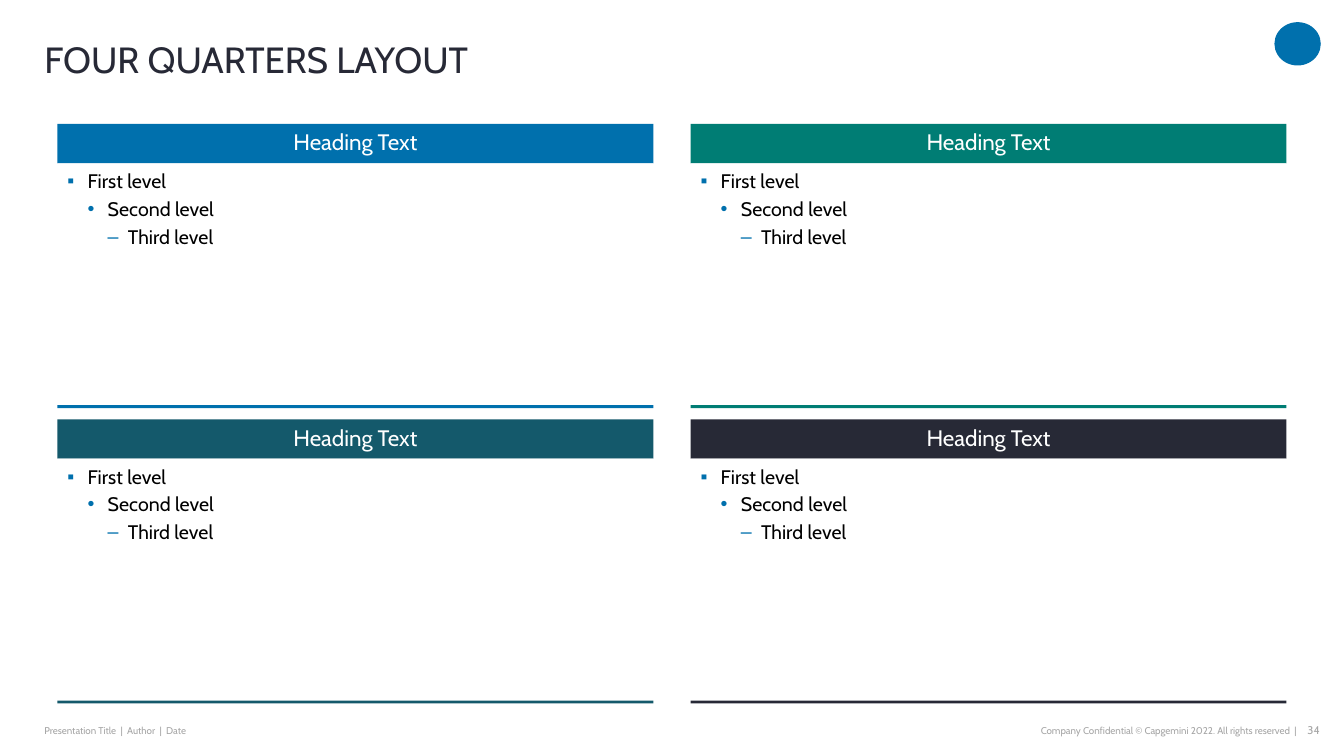
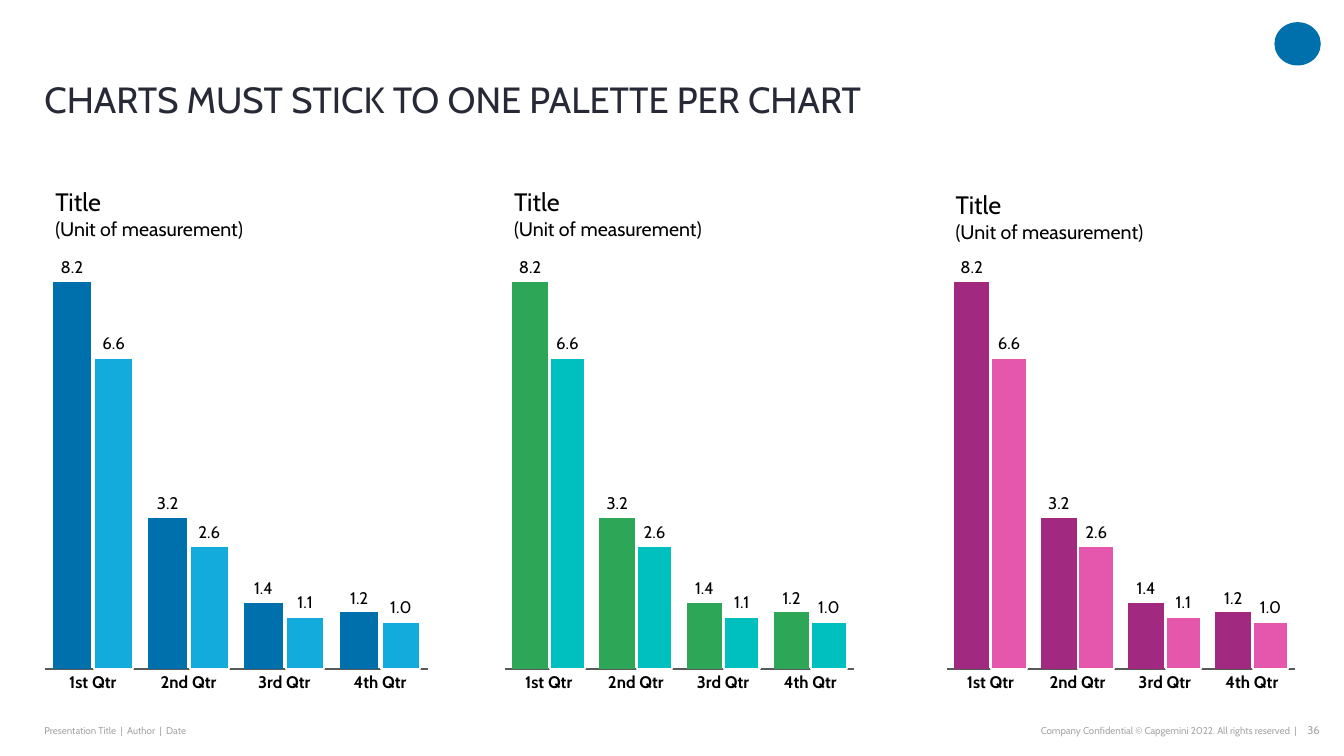
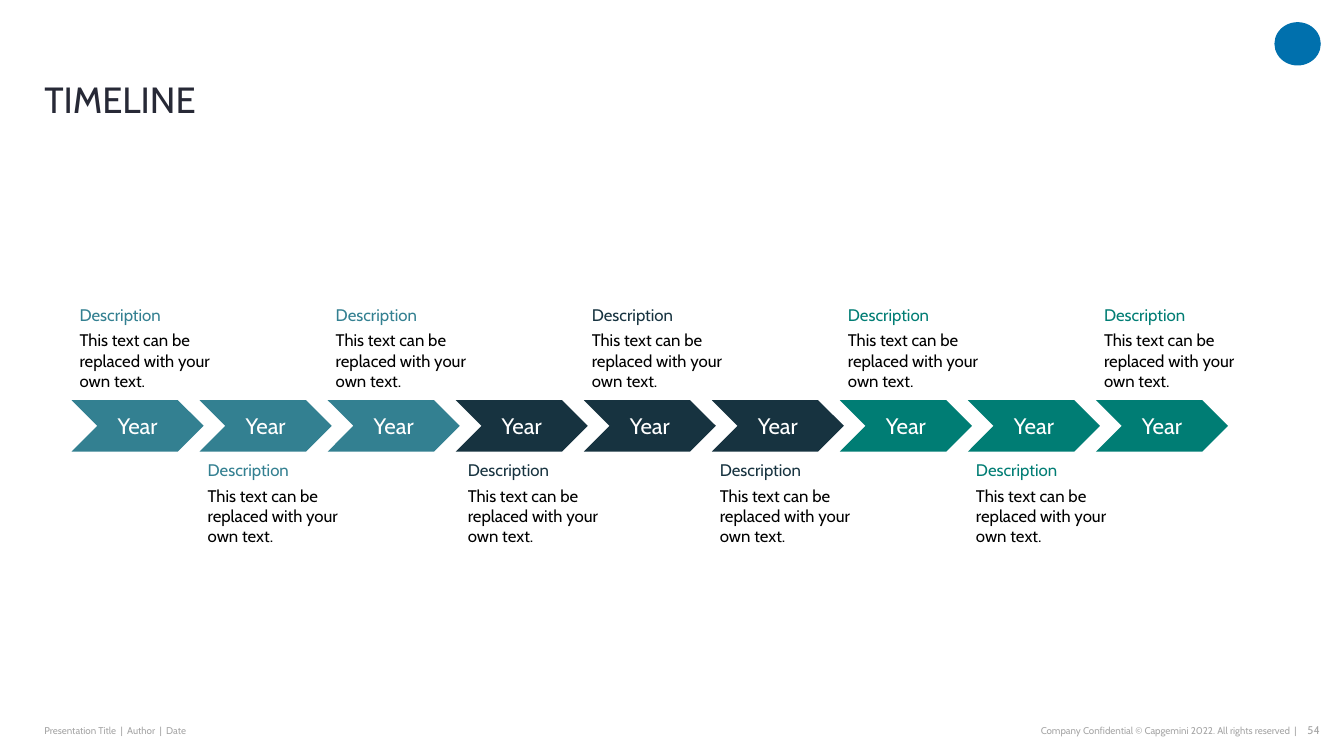
"""Build three sample slides: four quarters, palette charts and a timeline."""
import pptx
import pptx.chart.data
import pptx.dml.color
import pptx.enum.chart
import pptx.enum.shapes
import pptx.enum.text
import pptx.oxml
import pptx.oxml.ns
import pptx.util

Inches = pptx.util.Inches
Pt = pptx.util.Pt
RGBColor = pptx.dml.color.RGBColor
Shape = pptx.enum.shapes.MSO_SHAPE
Align = pptx.enum.text.PP_ALIGN
Anchor = pptx.enum.text.MSO_ANCHOR
Chart = pptx.enum.chart

BLUE = RGBColor(0x00, 0x70, 0xAD)
SKY = RGBColor(0x12, 0xAB, 0xDB)
GREEN = RGBColor(0x2E, 0xA6, 0x57)
AQUA = RGBColor(0x00, 0xBF, 0xBF)
PLUM = RGBColor(0xA1, 0x29, 0x80)
PINK = RGBColor(0xE5, 0x57, 0xAD)
TEAL = RGBColor(0x00, 0x7D, 0x74)
PETROL = RGBColor(0x14, 0x59, 0x6B)
STEEL = RGBColor(0x33, 0x80, 0x91)
NAVY = RGBColor(0x17, 0x33, 0x40)
INK = RGBColor(0x27, 0x29, 0x36)
GREY = RGBColor(0xA6, 0xA6, 0xA6)
SLATE = RGBColor(0x59, 0x59, 0x59)
BLACK = RGBColor(0x00, 0x00, 0x00)
WHITE = RGBColor(0xFF, 0xFF, 0xFF)
FONT = "Cabin"


class Deck:
    def __init__(self):
        self.show = pptx.Presentation()
        self.show.slide_width = Inches(13.33)
        self.show.slide_height = Inches(7.5)
        self.slide = None

    def page(self, title, number, anchor=Anchor.BOTTOM):
        self.slide = self.show.slides.add_slide(self.show.slide_layouts[6])
        self.shape(Shape.OVAL, 12.64, 0.22, 0.46, 0.43, BLUE)
        self.text(0.44, 7.13, 3.73, 0.24, [("Presentation Title  |  Author  |  Date", 7, GREY)],
                  anchor=Anchor.MIDDLE, inset=(0, 0))
        self.text(7.9, 7.13, 4.96, 0.24,
                  [("Company Confidential © Capgemini 2022. All rights reserved  |", 7, GREY)],
                  align=Align.RIGHT, anchor=Anchor.MIDDLE, inset=(0, 0))
        self.text(12.84, 7.13, 0.25, 0.24, [(number, 8, GREY)], align=Align.RIGHT, inset=(0, 0.05))
        self.text(0.44, 0.42, 11.97, 0.78, [(title, 26, INK)], anchor=anchor, inset=(0, 0), line=0.9)

    def words(self, frame, lines, align=Align.LEFT, anchor=Anchor.TOP, inset=(0.1, 0.05),
              line=None, after=None):
        frame.word_wrap = True
        frame.vertical_anchor = anchor
        frame.margin_left = frame.margin_right = Inches(inset[0])
        frame.margin_top = frame.margin_bottom = Inches(inset[1])
        frame.text = "\n".join(words for words, _, _ in lines)
        for para, (_, size, colour) in zip(frame.paragraphs, lines):
            para.alignment = align
            para.line_spacing = line
            if after:
                para.space_after = Pt(after)
            for run in para.runs:
                self.style(run.font, size, colour)

    def style(self, font, size, colour, bold=False):
        font.name = FONT
        font.size = Pt(size)
        font.bold = bold
        font.color.rgb = colour

    def text(self, left, top, width, height, lines, **options):
        box = self.slide.shapes.add_textbox(Inches(left), Inches(top), Inches(width), Inches(height))
        self.words(box.text_frame, lines, **options)

    def shape(self, kind, left, top, width, height, fill):
        item = self.slide.shapes.add_shape(kind, Inches(left), Inches(top), Inches(width), Inches(height))
        item.shadow.inherit = False
        item.fill.solid()
        item.fill.fore_color.rgb = fill
        item.line.fill.background()
        return item

    def label(self, kind, left, top, width, height, fill, words, line=None):
        item = self.shape(kind, left, top, width, height, fill)
        self.words(item.text_frame, [(words, 16, WHITE)], Align.CENTER, Anchor.MIDDLE, line=line)

    def bullet(self, para, level, mark):
        para.level = level
        props = para._p.get_or_add_pPr()
        props.set("marL", str(Inches(0.2 * level)))
        props.set("indent", str(Inches(-0.2)))
        space = pptx.oxml.ns.nsdecls("a")
        for part in (f'<a:buClr {space}><a:srgbClr val="{BLUE}"/></a:buClr>',
                     f'<a:buFont {space} typeface="Arial"/>',
                     f'<a:buChar {space} char="{mark}"/>'):
            props.append(pptx.oxml.parse_xml(part))
        if level > 1:
            para.space_before = Pt(3)

    def panel(self, left, top, colour):
        self.label(Shape.RECTANGLE, left, top, 5.91, 0.39, colour, "Heading Text", line=0.9)
        body = self.shape(Shape.RECTANGLE, left, top + 0.39, 5.91, 2.43, WHITE)
        names = ("First level", "Second level", "Third level")
        self.words(body.text_frame, [(name, 14, BLACK) for name in names], inset=(0.1, 0.06))
        for level, (para, mark) in enumerate(zip(body.text_frame.paragraphs, "▪•–"), 1):
            self.bullet(para, level, mark)
        self.shape(Shape.RECTANGLE, left, top + 2.79, 5.91, 0.03, colour)

    def chart(self, left, width, overlap, colours):
        data = pptx.chart.data.CategoryChartData(number_format="0.0")
        data.categories = ["1st Qtr", "2nd Qtr", "3rd Qtr", "4th Qtr"]
        data.add_series("Series 1", (8.2, 3.2, 1.4, 1.2))
        data.add_series("Series 2", (6.6, 2.6, 1.1, 1))
        chart = self.slide.shapes.add_chart(
            Chart.XL_CHART_TYPE.COLUMN_CLUSTERED,
            Inches(left), Inches(1.8), Inches(width), Inches(5.2), data).chart
        chart.has_legend = False
        chart.has_title = False
        self.style(chart.font, 10, BLACK)
        axis = chart.category_axis
        axis.major_tick_mark = Chart.XL_TICK_MARK.NONE
        axis.format.line.color.rgb = SLATE
        axis.format.line.width = Pt(1)
        self.style(axis.tick_labels.font, 12, BLACK, True)
        scale = chart.value_axis
        scale.visible = False
        scale.has_major_gridlines = False
        scale.minimum_scale = 0
        scale.maximum_scale = 9
        plot = chart.plots[0]
        plot.gap_width = 40
        plot.overlap = overlap
        plot.vary_by_categories = False
        for series, colour in zip(plot.series, colours):
            series.format.fill.solid()
            series.format.fill.fore_color.rgb = colour
            labels = series.data_labels
            labels.show_value = True
            labels.number_format = "0.0"
            labels.number_format_is_linked = False
            labels.position = Chart.XL_LABEL_POSITION.OUTSIDE_END
            self.style(labels.font, 12, BLACK)
        edge = plot.series[1].format.line
        edge.color.rgb = WHITE
        edge.width = Pt(1.5)
        self.place(chart)

    def place(self, chart):
        area = chart._chartSpace.chart.plotArea
        for old in area.findall(pptx.oxml.ns.qn("c:layout")):
            area.remove(old)
        spots = (("x", 0.04), ("y", 0.12), ("w", 0.92), ("h", 0.81))
        modes = '<c:layoutTarget val="inner"/><c:xMode val="edge"/><c:yMode val="edge"/>'
        sizes = "".join(f'<c:{name} val="{value}"/>' for name, value in spots)
        area.insert(0, pptx.oxml.parse_xml(
            f'<c:layout {pptx.oxml.ns.nsdecls("c")}><c:manualLayout>'
            f'{modes}{sizes}</c:manualLayout></c:layout>'))


def main():
    deck = Deck()

    deck.page("FOUR QUARTERS LAYOUT", "34", Anchor.TOP)
    for i, colour in enumerate((BLUE, TEAL, PETROL, INK)):
        row, col = divmod(i, 2)
        deck.panel(0.57 + 6.28 * col, 1.23 + 2.93 * row, colour)

    deck.page("CHARTS MUST STICK TO ONE PALETTE PER CHART", "36")
    for left, width, overlap, colours, start, top in (
            (0.28, 4.13, -8, (BLUE, SKY), 0.45, 1.8),
            (4.86, 3.76, -5, (GREEN, AQUA), 5, 1.8),
            (9.24, 3.76, -5, (PLUM, PINK), 9.38, 1.83)):
        deck.chart(left, width, overlap, colours)
        deck.text(start, top, width - 0.3, 0.64,
                  [("Title", 18, BLACK), ("(Unit of measurement)", 14, BLACK)])

    deck.page("TIMELINE", "54")
    for i in range(9):
        colour = (STEEL, NAVY, TEAL)[i // 3]
        left = 0.71 + 1.27 * i
        deck.label(Shape.CHEVRON, left, 3.97, 1.31, 0.51, colour, "Year")
        nudge = 0.04 if i == 3 else 0
        deck.text(left + nudge, 4.51 if i % 2 else 2.97, 1.66, 1.11,
                  [("Description", 12, colour),
                   ("This text can be replaced with your own text.", 12, BLACK)],
                  inset=(0.08, 0.05), after=4)

    deck.show.save("out.pptx")


if __name__ == "__main__":
    main()
